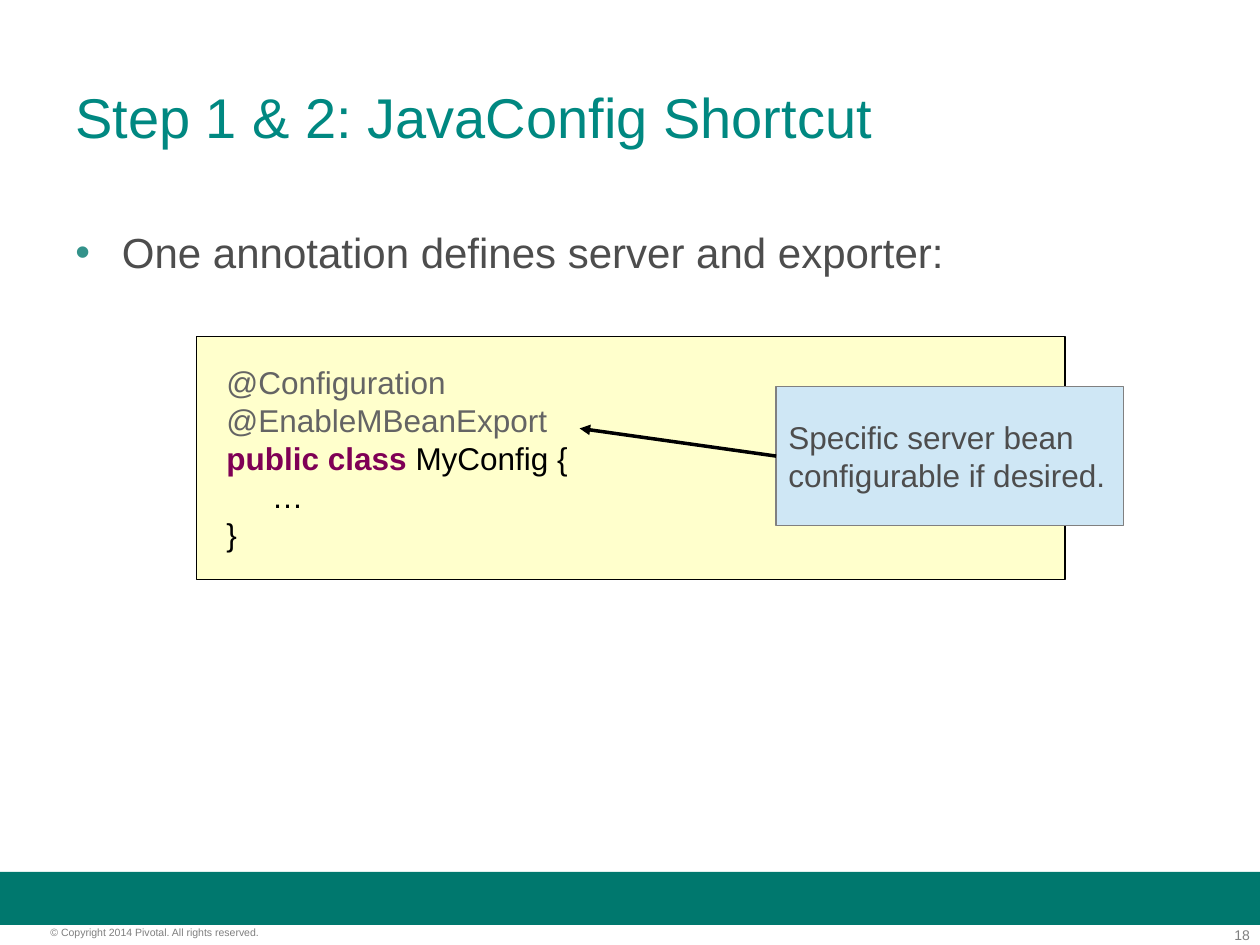
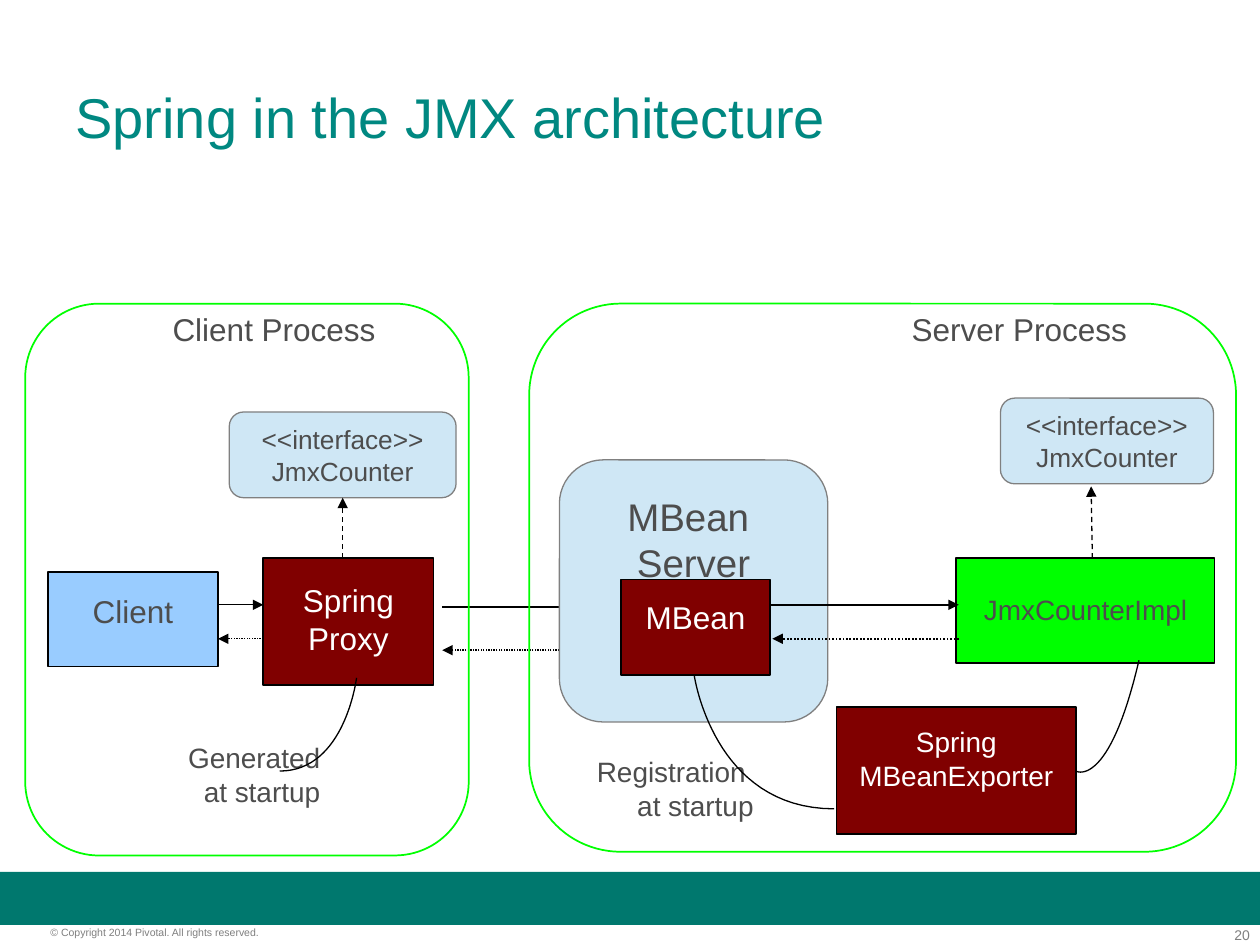
from dataclasses import dataclass

from lxml import etree
from pptx import Presentation
from pptx.dml.color import RGBColor
from pptx.enum.dml import MSO_LINE
from pptx.enum.shapes import MSO_CONNECTOR, MSO_SHAPE as SHAPE
from pptx.enum.text import MSO_ANCHOR as ANCHOR, PP_ALIGN as ALIGN
from pptx.oxml.ns import qn
from pptx.util import Inches, Pt

FONT = "Arial"
GREEN_BAND = "00786E"
TITLE = "008881"
BULLET = "33928A"
BODY = "4D4D4D"
FOOTER = "7F7F7F"
ANNOTATION = "646464"
KEYWORD = "7F0055"
CODE_PAPER = "FFFFCC"
PALE_BLUE = "CFE7F5"
SKY = "99CCFF"
MAROON = "800000"
LIME = "00FF00"
GRAY = "808080"
BLACK = "000000"
WHITE = "FFFFFF"
COPYRIGHT = "© Copyright 2014 Pivotal. All rights reserved."

Point = tuple[float, float]
Area = tuple[float, float, float, float]


@dataclass
class Box:
    area: Area
    text: str = ""
    fill: str | None = None
    line: str | None = BLACK
    width: float = 1
    size: float = 18
    color: str = BODY
    align: ALIGN = ALIGN.CENTER
    text_top: float | None = None
    kind: SHAPE = SHAPE.RECTANGLE


@dataclass
class Label:
    area: Area
    text: str
    size: float = 18
    color: str = BODY
    align: ALIGN = ALIGN.LEFT
    anchor: ANCHOR = ANCHOR.TOP
    inset: Point = (0.1, 0.05)


@dataclass
class Arrow:
    start: Point
    end: Point
    width: float = 0.75
    dash: MSO_LINE | None = None


@dataclass
class Curve:
    start: Point
    pull: Point
    end: Point


def rgb(value: str) -> RGBColor:
    return RGBColor.from_string(value)


def style_font(font, size: float, color: str, bold: bool = False) -> None:
    font.name = FONT
    font.size = Pt(size)
    font.bold = bold
    font.color.rgb = rgb(color)


def style_outline(line, color: str, width: float) -> None:
    line.color.rgb = rgb(color)
    line.width = Pt(width)


def fill_frame(frame, text: str, size: float, color: str, align: ALIGN,
               anchor: ANCHOR, inset: Point = (0.1, 0.05)) -> None:
    frame.word_wrap = True
    frame.vertical_anchor = anchor
    frame.margin_left = frame.margin_right = Inches(inset[0])
    frame.margin_top = frame.margin_bottom = Inches(inset[1])
    frame.text = text
    for paragraph in frame.paragraphs:
        paragraph.alignment = align
        for run in paragraph.runs:
            style_font(run.font, size, color)


def draw_box(slide, box: Box):
    shape = slide.shapes.add_shape(box.kind, *map(Inches, box.area))
    shape.shadow.inherit = False
    if box.fill:
        shape.fill.solid()
        shape.fill.fore_color.rgb = rgb(box.fill)
    else:
        shape.fill.background()
    if box.line:
        style_outline(shape.line, box.line, box.width)
    else:
        shape.line.fill.background()
    if box.text:
        anchor = ANCHOR.MIDDLE if box.text_top is None else ANCHOR.TOP
        fill_frame(shape.text_frame, box.text, box.size, box.color, box.align, anchor)
        if box.text_top is not None:
            shape.text_frame.margin_top = Inches(box.text_top)
    return shape


def draw_label(slide, label: Label):
    frame = slide.shapes.add_textbox(*map(Inches, label.area)).text_frame
    fill_frame(frame, label.text, label.size, label.color, label.align,
               label.anchor, label.inset)
    return frame


def draw_arrow(slide, arrow: Arrow):
    connector = slide.shapes.add_connector(
        MSO_CONNECTOR.STRAIGHT, *map(Inches, arrow.start + arrow.end))
    style_outline(connector.line, BLACK, arrow.width)
    if arrow.dash:
        connector.line.dash_style = arrow.dash
    properties = connector._element.spPr
    etree.SubElement(properties.find(qn("a:ln")), qn("a:tailEnd"), type="triangle")
    etree.SubElement(properties, qn("a:effectLst"))
    return connector


def draw_curve(slide, curve: Curve, steps: int = 32) -> None:
    def at(t: float) -> tuple[int, int]:
        near, middle = (1 - t) ** 3, 3 * t * (1 - t) ** 2
        x, y = (near * start + middle * pull + (1 - near - middle) * end
                for start, pull, end in zip(curve.start, curve.pull, curve.end))
        return Inches(x), Inches(y)

    builder = slide.shapes.build_freeform(*at(0))
    builder.add_line_segments([at(i / steps) for i in range(1, steps + 1)], close=False)
    shape = builder.convert_to_shape()
    shape.shadow.inherit = False
    shape.fill.background()
    style_outline(shape.line, BLACK, 0)


def interface_box(area: Area) -> Box:
    return Box(area, "<<interface>>\nJmxCounter", PALE_BLUE, GRAY, 0, 15,
               kind=SHAPE.ROUNDED_RECTANGLE)


def process_outline(area: Area) -> Box:
    return Box(area, line=LIME, kind=SHAPE.ROUNDED_RECTANGLE)


def spring_box(area: Area, text: str, text_top: float, size: float = 18) -> Box:
    return Box(area, text, MAROON, size=size, color=WHITE, text_top=text_top)


def start_slide(deck, title: str, number: int):
    slide = deck.slides.add_slide(deck.slide_layouts[6])
    draw_box(slide, Box((0, 6.92, 10, 0.42), fill=GREEN_BAND, line=None))
    for label in (
        Label((9.34, 7.35, 0.58, 0.13), str(number), 8, FOOTER, ALIGN.RIGHT, inset=(0, 0)),
        Label((0.4, 7.35, 2.49, 0.1), COPYRIGHT, 6, FOOTER, inset=(0, 0)),
        Label((0.5, 0.3, 9, 1.25), title, 32, TITLE, anchor=ANCHOR.MIDDLE),
    ):
        draw_label(slide, label)
    return slide


def add_bullet(paragraph) -> None:
    properties = paragraph._p.get_or_add_pPr()
    properties.set("marL", str(Inches(0.37)))
    properties.set("indent", str(-Inches(0.37)))
    color = etree.SubElement(properties, qn("a:buClr"))
    etree.SubElement(color, qn("a:srgbClr"), val=BULLET)
    etree.SubElement(properties, qn("a:buFont"), typeface=FONT)
    etree.SubElement(properties, qn("a:buChar"), char="•")


def build_shortcut_slide(deck) -> None:
    slide = start_slide(deck, "Step 1 & 2: JavaConfig Shortcut", 18)
    body = draw_label(slide, Label(
        (0.5, 1.75, 9, 4.95), "One annotation defines server and exporter:", 24))
    add_bullet(body.paragraphs[0])

    code_lines = [
        [("  @Configuration", ANNOTATION)],
        [("  @EnableMBeanExport", ANNOTATION)],
        [("  ", BLACK), ("public class ", KEYWORD), ("MyConfig {", BLACK)],
        [("\t…", BLACK)],
        [("  }", BLACK)],
    ]
    code = draw_box(slide, Box((1.56, 2.67, 6.89, 1.93), fill=CODE_PAPER)).text_frame
    code.vertical_anchor = ANCHOR.MIDDLE
    for index, pieces in enumerate(code_lines):
        paragraph = code.add_paragraph() if index else code.paragraphs[0]
        paragraph.alignment = ALIGN.LEFT
        for text, color in pieces:
            run = paragraph.add_run()
            run.text = text
            style_font(run.font, 18, color, bold=color == KEYWORD)

    callout = draw_box(slide, Box(
        (6.16, 3.07, 2.76, 1.1), "Specific server bean\nconfigurable if desired.",
        PALE_BLUE, GRAY, 0, align=ALIGN.LEFT))
    draw_arrow(slide, Arrow((6.16, 3.62), (4.6, 3.4), 0)).begin_connect(callout, 1)


def build_architecture_slide(deck) -> None:
    slide = start_slide(deck, "Spring in the JMX architecture", 20)
    call_y, reply_y = 4.8, 5.07
    dotted, dashed = MSO_LINE.ROUND_DOT, MSO_LINE.DASH

    for remote_link in (
        Arrow((3.51, 4.82), (5.39, 4.82), 1),
        Arrow((5.38, 5.16), (3.51, 5.16), dash=dotted),
    ):
        draw_arrow(slide, remote_link)

    for box in (
        spring_box((6.64, 5.61, 1.9, 1.01), "Spring\nMBeanExporter", 0.14, 16),
        process_outline((4.2, 2.41, 5.61, 4.35)),
        Box((7.59, 4.43, 2.05, 0.83), "JmxCounterImpl", LIME, size=16, text_top=0.27),
        Box((4.44, 3.65, 2.13, 2.08), "MBean \nServer", PALE_BLUE, GRAY, 0, 22,
            text_top=0.16, kind=SHAPE.ROUNDED_RECTANGLE),
        interface_box((7.94, 3.16, 1.69, 0.68)),
        spring_box((4.93, 4.6, 1.18, 0.76), "MBean", 0.15),
        spring_box((2.09, 4.43, 1.35, 1.01), "Spring\nProxy", 0.18),
        process_outline((0.2, 2.41, 3.52, 4.38)),
        Box((0.38, 4.54, 1.35, 0.75), "Client", SKY, text_top=0.16),
    ):
        draw_box(slide, box)
    client_interface = draw_box(slide, interface_box((1.82, 3.27, 1.8, 0.68)))

    for label in (
        Label((0.22, 2.41, 3.91, 0.4), "Client Process", align=ALIGN.CENTER),
        Label((6.4, 2.41, 3.38, 0.4), "Server Process", align=ALIGN.CENTER),
        Label((4.45, 5.94, 1.63, 0.76), "Registration \nat startup", 16, align=ALIGN.RIGHT),
        Label((0.91, 5.83, 1.73, 0.76), "Generated\nat startup", 16, align=ALIGN.RIGHT),
    ):
        draw_label(slide, label)

    for curve in (
        Curve((9.04, 5.24), (8.8, 6.27), (8.54, 6.12)),
        Curve((6.62, 6.42), (5.66, 6.42), (5.51, 5.36)),
        Curve((2.22, 6.12), (2.74, 6.12), (2.83, 5.38)),
    ):
        draw_curve(slide, curve)

    for arrow in (
        Arrow((8.67, 4.43), (8.66, 3.86), dash=dashed),
        Arrow((6.12, call_y), (7.61, call_y), 1),
        Arrow((7.61, reply_y), (6.13, reply_y), 1, dotted),
        Arrow((1.73, call_y), (2.09, call_y)),
        Arrow((2.09, reply_y), (1.73, reply_y), dash=dotted),
    ):
        draw_arrow(slide, arrow)
    implements = draw_arrow(slide, Arrow((2.72, 4.43), (2.72, 3.95), dash=dashed))
    implements.end_connect(client_interface, 2)


def main() -> None:
    deck = Presentation()
    deck.slide_width, deck.slide_height = Inches(10), Inches(7.5)
    build_shortcut_slide(deck)
    build_architecture_slide(deck)
    deck.save("out.pptx")


if __name__ == "__main__":
    main()
